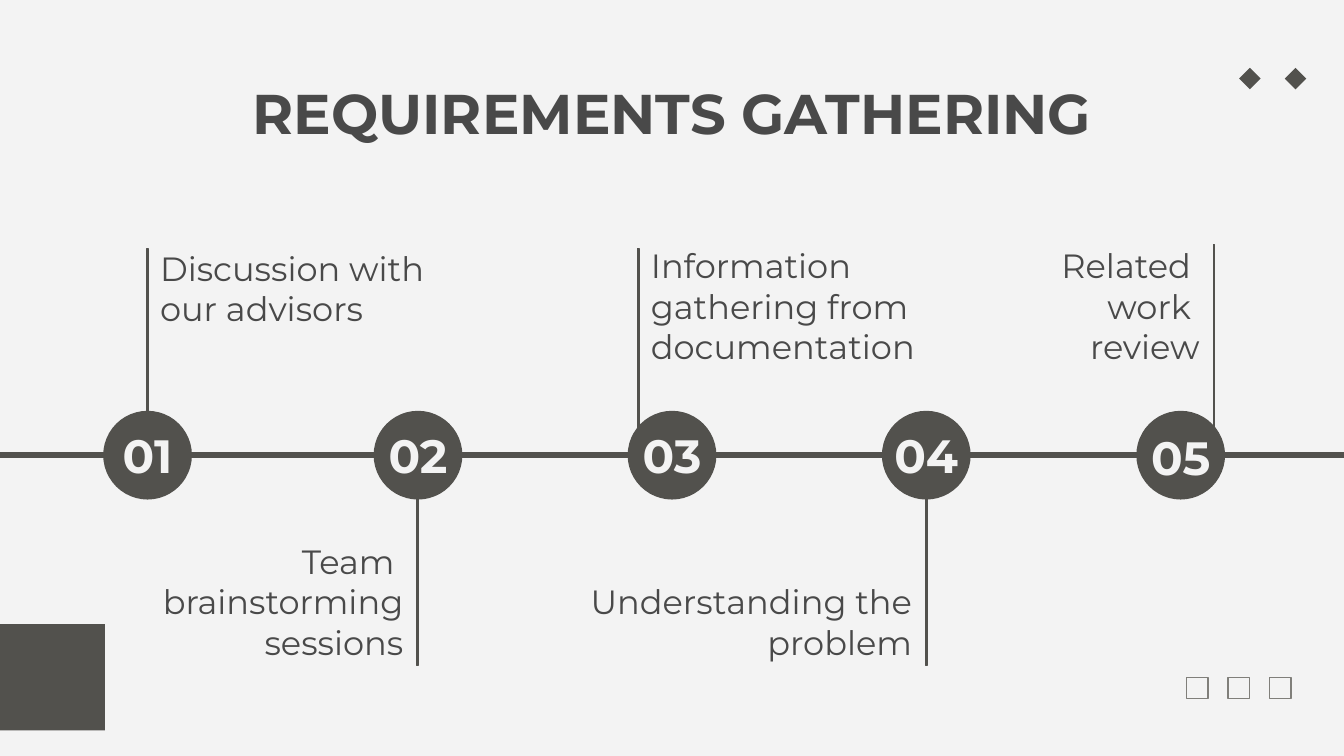
"""Build the requirements gathering timeline slide on a grid of 100 columns."""
from pptx import Presentation
from pptx.dml.color import RGBColor
from pptx.enum.shapes import MSO_SHAPE
from pptx.enum.text import MSO_ANCHOR, PP_ALIGN
from pptx.util import Inches, Pt

RECT, OVAL, DIAMOND = MSO_SHAPE.RECTANGLE, MSO_SHAPE.OVAL, MSO_SHAPE.DIAMOND
LEFT, CENTER, RIGHT = PP_ALIGN.LEFT, PP_ALIGN.CENTER, PP_ALIGN.RIGHT
TOP, BOTTOM = MSO_ANCHOR.TOP, MSO_ANCHOR.BOTTOM
DARK, INK, PALE, GREY = "52514D", "494949", "F3F3F3", "807F7A"

prs = Presentation()
prs.slide_width = Inches(10)
prs.slide_height = prs.slide_width * 9 // 16
U = prs.slide_width / 100
s = prs.slides.add_slide(prs.slide_layouts[5])
rgb = RGBColor.from_string
s.background.fill.solid()
s.background.fill.fore_color.rgb = rgb(PALE)


def add_shape(kind, x, y, w, h, fill=None, line=None, weight=0.75):
    sp = s.shapes.add_shape(kind, *(round(v * U) for v in (x, y, w, h)))
    sp.shadow.inherit = False
    if fill:
        sp.fill.solid()
        sp.fill.fore_color.rgb = rgb(fill)
    else:
        sp.fill.background()
    if line:
        sp.line.color.rgb = rgb(line)
        sp.line.width = Pt(weight)
    else:
        sp.line.fill.background()


def set_text(sp, x, y, w, h, text, size, color, align, anchor=TOP, bold=False):
    sp.left, sp.top, sp.width, sp.height = (round(v * U) for v in (x, y, w, h))
    tf = sp.text_frame
    tf.text = text
    tf.word_wrap = True
    tf.vertical_anchor = anchor
    tf.margin_left = tf.margin_right = tf.margin_top = tf.margin_bottom = Inches(0.1)
    for p in tf.paragraphs:
        p.alignment = align
        for r in p.runs:
            r.font.name = "Montserrat"
            r.font.size = Pt(size)
            r.font.bold = bold
            r.font.color.rgb = rgb(color)


set_text(s.shapes.title, 7.85, 4.85, 84.3, 6.3, "REQUIREMENTS GATHERING", 30, INK, CENTER, bold=True)

add_shape(RECT, 0, 46.45, 7.8, 7.9, DARK)
for i in range(3):
    add_shape(RECT, 88.3 + 3.08 * i, 50.4, 1.6, 1.6, line=GREY)
for i in range(2):
    add_shape(DIAMOND, 92.2 + 3.4 * i, 5.05, 1.6, 1.6, DARK)

steps = [
    (7.73, 30.75, 10.93, 18.5, 10.93, 17.45, LEFT, "Discussion with\nour advisors"),
    (27.85, 30.75, 31, 34, 3.3, 39.25, RIGHT, "Team \nbrainstorming sessions"),
    (46.75, 30.75, 47.45, 18.5, 47.45, 17.25, LEFT, "Information gathering from documentation"),
    (65.67, 30.75, 68.87, 34, 41.15, 42.25, RIGHT, "Understanding the problem"),
    (84.6, 30.9, 90.27, 18.2, 62.55, 17.25, RIGHT, "Related \nwork \nreview"),
]
for _, _, stem_x, stem_y, *_ in steps:
    add_shape(RECT, stem_x, stem_y, 0.1, 15.5, DARK, DARK)
add_shape(RECT, -0.9, 33.73, 101.7, 0.25, DARK, DARK, 1.5)

for n, (x, num_y, _, _, cap_x, cap_y, align, caption) in enumerate(steps, 1):
    add_shape(OVAL, x, 30.62, 6.5, 6.5, DARK, DARK)
    set_text(s.shapes.add_textbox(0, 0, 0, 0), x - 1.15, num_y, 8.8, 6.2,
             f"{n:02}", 25, PALE, CENTER, BOTTOM, True)
    set_text(s.shapes.add_textbox(0, 0, 0, 0), cap_x, cap_y, 27.7,
             10.4 if n == 3 else 5, caption, 18, INK, align)

prs.save("out.pptx")
